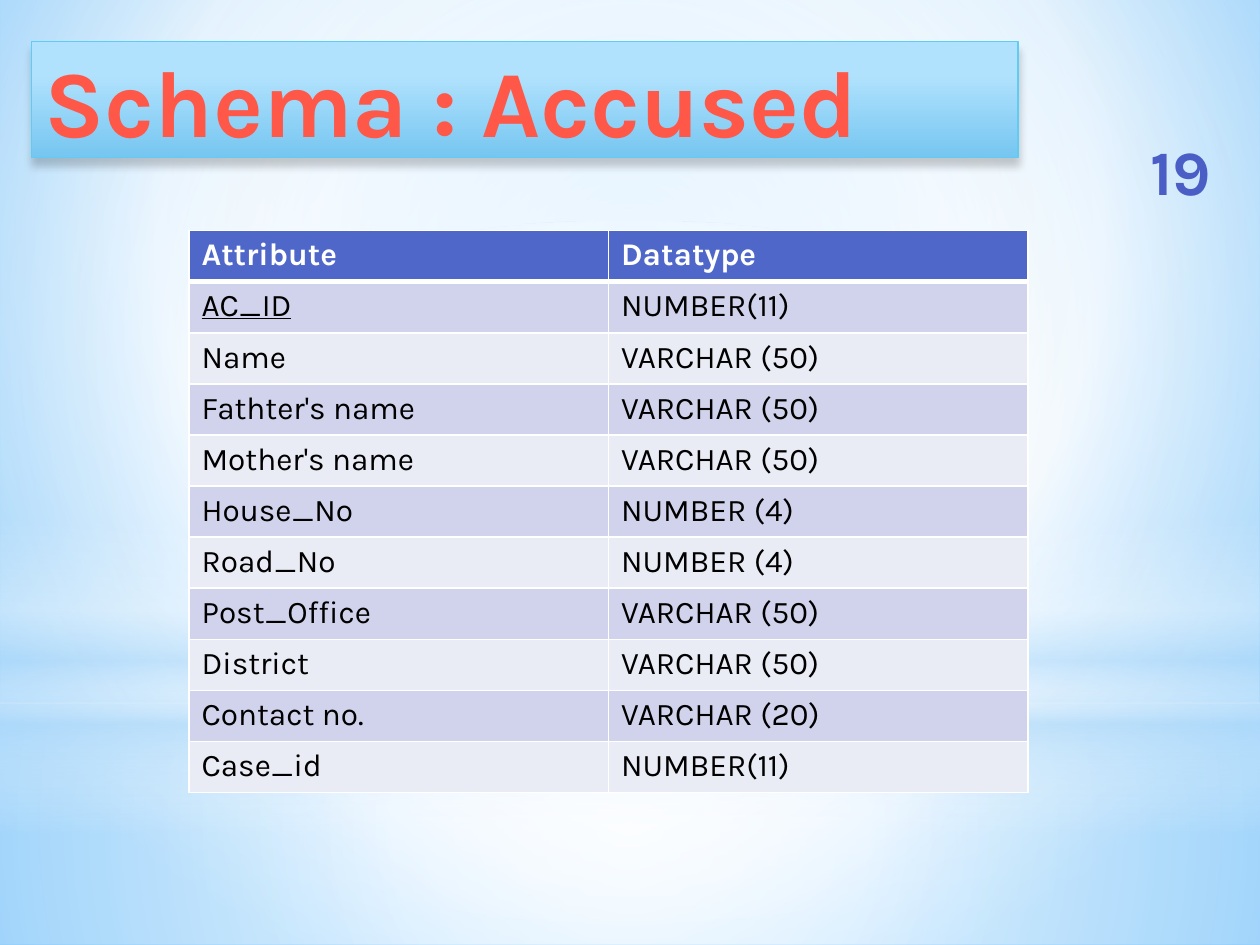
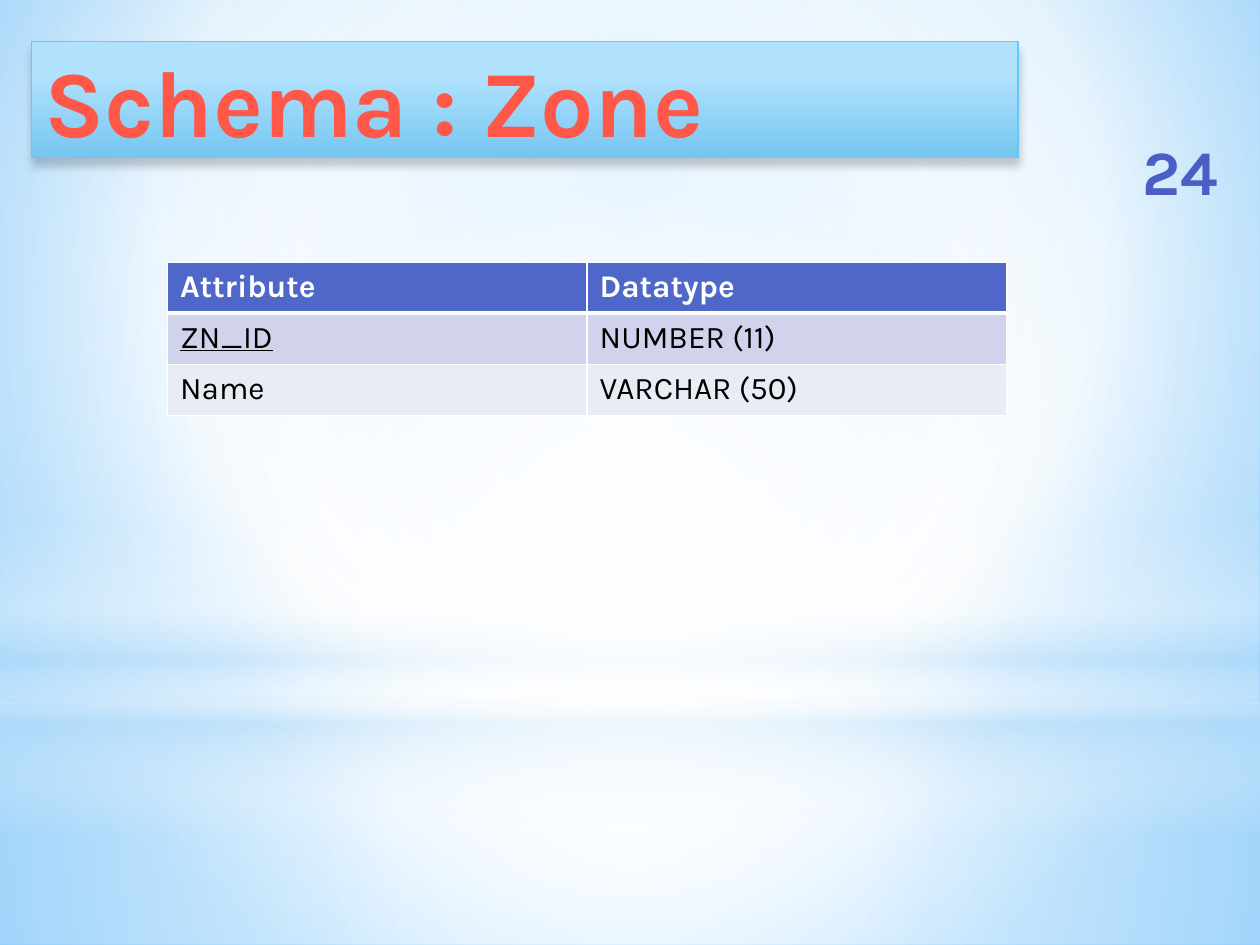
from lxml import etree
from pptx import Presentation
from pptx import util as u
from pptx.dml.color import RGBColor
from pptx.enum import shapes, text
from pptx.oxml.ns import qn

SLIDES = [
    dict(title="Schema : Accused", number="19", table_at=(1.5, 1.83), fields=[
        ("AC_ID", "NUMBER(11)"),
        ("Name", "VARCHAR (50)"),
        ("Fathter's name", "VARCHAR (50)"),
        ("Mother's name", "VARCHAR (50)"),
        ("House_No", "NUMBER (4)"),
        ("Road_No", "NUMBER (4)"),
        ("Post_Office", "VARCHAR (50)"),
        ("District", "VARCHAR (50)"),
        ("Contact no.", "VARCHAR (20)"),
        ("Case_id", "NUMBER(11)"),
    ]),
    dict(title="Schema : Zone", number="24", table_at=(1.33, 2.08), fields=[
        ("ZN_ID", "NUMBER (11)"),
        ("Name", "VARCHAR (50)"),
    ]),
]
HEADER = ("Attribute", "Datatype")

FONT = "Karla"
COLORS = dict(white="FFFFFF", black="000000", sky="B4DCFA", header="4E67C8",
              odd="D0D3EB", even="E9EBF5", title_line="5ECCF3")
W, H = 10, 7.5
HORIZON = 5.58
COL_W = u.Inches(3.33)
ROW_H = u.Pt(29.2)

# Gradient stops are (position %, colour, opacity %)
WHITE, SKY = COLORS["white"], COLORS["sky"]
BACKGROUND = [(0, "9ED5FF", 100), (60, WHITE, 100), (100, "5BB9FF", 100)]
TITLE_FILL = [(28, "B1E2FD", 100), (100, "76C6F1", 100)]
TITLE_TEXT = [(0, "FF6155", 100), (25, "FF5748", 100), (50, "EF3718", 100),
              (75, "FF5748", 100), (100, "FF6155", 100)]
NUMBER_TEXT = [(0, "717FD2", 100), (49, "4A5EC6", 100), (50, "324CB5", 100),
               (92, "31479D", 100), (100, "30469A", 100)]
CENTER = (50, 50, 50, 50)
RECT, OVAL = shapes.MSO_SHAPE.RECTANGLE, shapes.MSO_SHAPE.OVAL
# Backdrop parts: preset, top, height, stops, focus (None for top to bottom)
BACKDROP = [
    (RECT, HORIZON, H - HORIZON, [(0, WHITE, 91), (37, WHITE, 76), (100, SKY, 79)], CENTER),
    (RECT, 0, HORIZON, [(0, WHITE, 89), (48, WHITE, 62), (100, SKY, 79)], CENTER),
    (RECT, 4.12, 2.5, [(0, WHITE, 0), (29, WHITE, 30), (45, SKY, 40), (55, WHITE, 26),
                       (65, SKY, 60), (100, WHITE, 0)], None),
    (OVAL, 1.75, HORIZON, [(0, WHITE, 100), (56, WHITE, 0)], CENTER),
]


def add(parent, tag, **attrs):
    return etree.SubElement(parent, qn(tag), {k: str(v) for k, v in attrs.items()})


def add_color(parent, color, opacity=100):
    add(add(parent, "a:srgbClr", val=color), "a:alpha", val=opacity * 1000)


def set_gradient(fill, root, stops, focus=None):
    """Turn fill, the first one below root, into a radial or downward gradient."""
    fill.solid()
    fill.fore_color.rgb = RGBColor.from_string(WHITE)
    old = root.find(".//" + qn("a:solidFill"))
    grad = etree.Element(qn("a:gradFill"), rotWithShape="1")
    stop_list = add(grad, "a:gsLst")
    for pos, color, opacity in stops:
        add_color(add(stop_list, "a:gs", pos=pos * 1000), color, opacity)
    if focus:
        path = add(grad, "a:path", path="circle")
        add(path, "a:fillToRect", **{k: v * 1000 for k, v in zip("ltrb", focus)})
    else:
        add(grad, "a:lin", ang=90 * 60000, scaled=0)
    old.getparent().replace(old, grad)


def place(sp, left, top, width, height):
    sp.left, sp.top, sp.width, sp.height = map(u.Inches, (left, top, width, height))


def write_big(sp, words, size, stops, align):
    tf = sp.text_frame
    tf.text = words
    tf.word_wrap = True
    tf.auto_size = text.MSO_AUTO_SIZE.NONE
    tf.vertical_anchor = text.MSO_ANCHOR.MIDDLE
    p = tf.paragraphs[0]
    p.alignment = align
    font = p.runs[0].font
    font.name, font.size, font.bold = FONT, u.Pt(size), True
    set_gradient(font.fill, sp.element.txBody, stops)


def add_backdrop(master, slide):
    """Draw the shared backdrop on a slide, then move it to the master."""
    set_gradient(master.background.fill, master.element, BACKGROUND, (20, 10, 20, 60))
    for i, (preset, top, height, stops, focus) in enumerate(BACKDROP):
        sp = slide.shapes.add_shape(preset, 0, u.Inches(top), u.Inches(W), u.Inches(height))
        set_gradient(sp.fill, sp.element.spPr, stops, focus)
        sp.line.fill.background()
        sp.shadow.inherit = False
        sp.element.nvSpPr.cNvPr.set("id", str(100 + i))
        master.shapes.element.insert(2 + i, sp.element)


def add_title(slide, words):
    sp = slide.shapes.title
    place(sp, 0.25, 0.33, 7.83, 0.92)
    spPr = sp.element.spPr
    add(add(spPr, "a:prstGeom", prst="roundRect"), "a:avLst")
    set_gradient(sp.fill, spPr, TITLE_FILL)
    sp.line.color.rgb = RGBColor.from_string(COLORS["title_line"])
    sp.line.width = u.Pt(0.75)
    sp.shadow.inherit = False
    shadow = add(spPr.find(qn("a:effectLst")), "a:outerShdw", blurRad=u.Pt(5),
                 dist=u.Pt(4), dir=90 * 60000, rotWithShape=0)
    add_color(shadow, COLORS["black"], 20)
    write_big(sp, words, 54, TITLE_TEXT, text.PP_ALIGN.LEFT)


def add_number(slide, number):
    sp = slide.shapes.add_textbox(0, 0, 0, 0)
    place(sp, 8.88, 1.08, 0.98, 0.54)
    write_big(sp, number, 36, NUMBER_TEXT, text.PP_ALIGN.CENTER)


def format_cell(cell, row, col):
    tcPr = cell._tc.get_or_add_tcPr()
    widths = dict(L=1, R=1, T=3 if row == 1 else 1, B=3 if row == 0 else 1)
    for side, width in widths.items():
        ln = add(tcPr, "a:ln" + side, w=u.Pt(width))
        add_color(add(ln, "a:solidFill"), WHITE)
    cell.fill.solid()
    shade = "header" if row == 0 else "odd" if row % 2 else "even"
    cell.fill.fore_color.rgb = RGBColor.from_string(COLORS[shade])
    font = cell.text_frame.paragraphs[0].runs[0].font
    font.name, font.size, font.bold = FONT, u.Pt(18), row == 0
    font.underline = (row, col) == (1, 0)  # primary key
    font.color.rgb = RGBColor.from_string(COLORS["black" if row else "white"])


def add_schema(slide, at, fields):
    rows = [HEADER, *fields]
    left, top = map(u.Inches, at)
    table = slide.shapes.add_table(len(rows), len(HEADER), left, top,
                                   COL_W * len(HEADER), ROW_H * len(rows)).table
    for column in table.columns:
        column.width = COL_W
    for r, values in enumerate(rows):
        table.rows[r].height = ROW_H
        for c, value in enumerate(values):
            cell = table.cell(r, c)
            cell.text_frame.text = value
            format_cell(cell, r, c)


def main():
    prs = Presentation()
    prs.slide_width, prs.slide_height = u.Inches(W), u.Inches(H)
    title_only = prs.slide_layouts[5]
    for i, content in enumerate(SLIDES):
        slide = prs.slides.add_slide(title_only)
        if i == 0:
            add_backdrop(prs.slide_master, slide)
        add_schema(slide, content["table_at"], content["fields"])
        add_title(slide, content["title"])
        add_number(slide, content["number"])
    prs.save("out.pptx")


if __name__ == "__main__":
    main()
